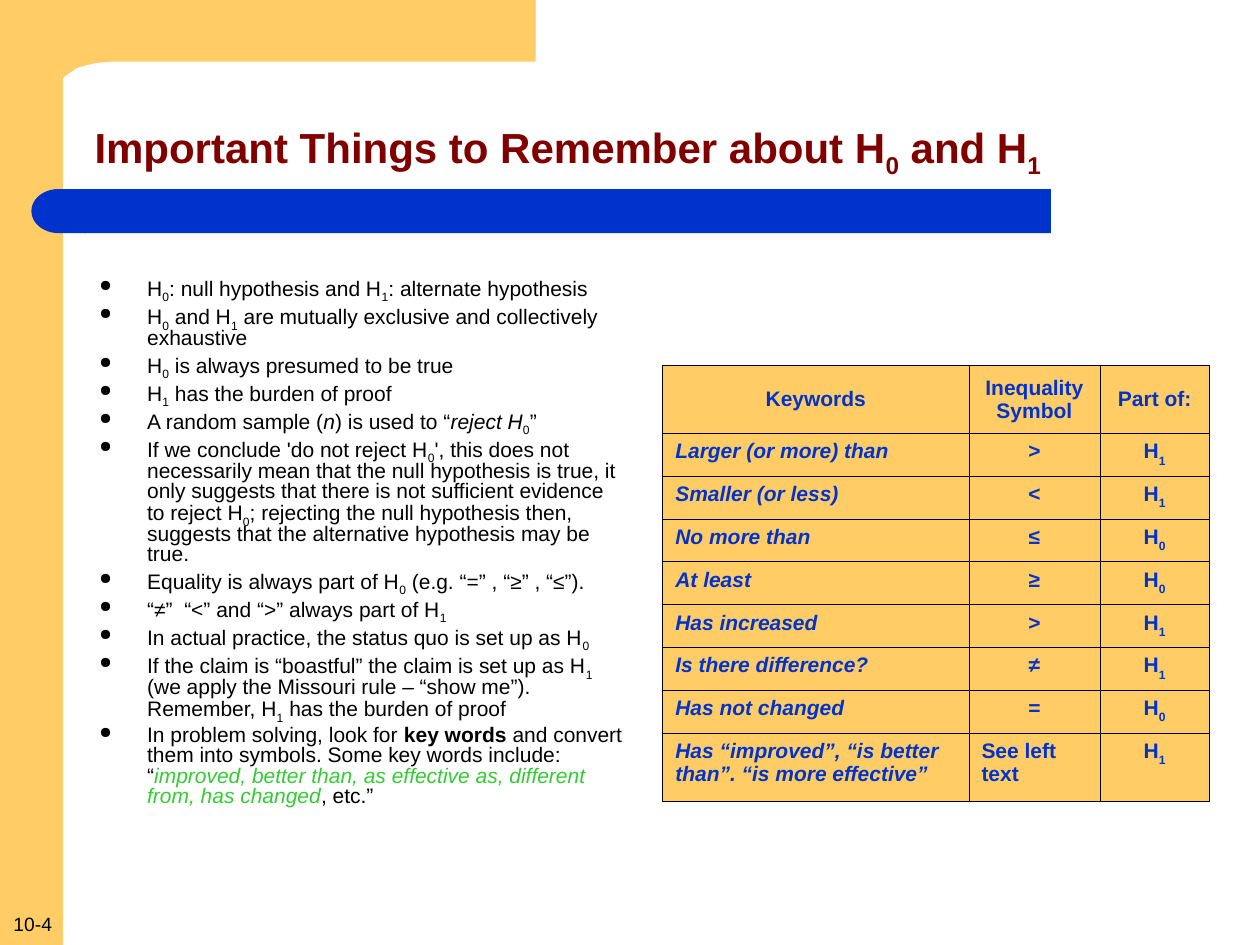
import pptx
import pptx.util
import pptx.dml.color
import pptx.enum.shapes
import pptx.enum.text
import pptx.oxml
import pptx.oxml.ns

Inches, Pt = pptx.util.Inches, pptx.util.Pt
RGBColor = pptx.dml.color.RGBColor
SHAPE = pptx.enum.shapes.MSO_SHAPE
ALIGN = pptx.enum.text.PP_ALIGN
ANCHOR = pptx.enum.text.MSO_ANCHOR
SIZE = pptx.enum.text.MSO_AUTO_SIZE

GOLD = RGBColor(0xFF, 0xCC, 0x66)
BLUE = RGBColor(0x00, 0x33, 0xCC)
MAROON = RGBColor(0x80, 0x00, 0x00)
GREEN = RGBColor(0x33, 0xCC, 0x33)
BLACK = RGBColor(0x00, 0x00, 0x00)

# Each mark switches its format on and off again within a text.
MARKS = {
    "~": {"sub": True},
    "*": {"italic": True},
    "^": {"bold": True},
    "`": {"rgb": GREEN, "italic": True},
}
TITLE = "Important Things to Remember about H~0~ and H~1~"
POINTS = [
    "H~0~: null hypothesis and H~1~: alternate hypothesis",
    "H~0~ and H~1~ are mutually exclusive and collectively exhaustive",
    "H~0~ is always presumed to be true",
    "H~1~ has the burden of proof",
    "A random sample (*n*) is used to “*reject H*~0~”",
    "If we conclude 'do not reject H~0~', this does not necessarily mean that "
    "the null hypothesis is true, it only suggests that there is not sufficient "
    "evidence to reject H~0~; rejecting the null hypothesis then, suggests that "
    "the alternative hypothesis may be true.",
    "Equality is always part of H~0~ (e.g. “=” , “≥” , “≤”).",
    "“≠”  “<” and “>” always part of H~1~",
    "In actual practice, the status quo is set up as H~0~",
    "If the claim is “boastful” the claim is set up as H~1~ (we apply the "
    "Missouri rule – “show me”). Remember, H~1~ has the burden of proof",
    "In problem solving, look for ^key words^ and convert them into symbols. "
    "Some key words include: “`improved, better than, as effective as, "
    "different from, has changed`, etc.”",
]
HEADS = ("Keywords", "Inequality\nSymbol", "Part of:")
RULES = [
    ("Larger (or more) than", ">", 1),
    ("Smaller (or less)", "<", 1),
    ("No more than", "≤", 0),
    ("At least", "≥", 0),
    ("Has increased", ">", 1),
    ("Is there difference?", "≠", 1),
    ("Has not changed", "=", 0),
    ("Has “improved”, “is better than”. “is more effective”", "See left text", 1),
]
COLS = (2.43, 1.04, 0.87)
TALL, LOW = 0.54, 0.34
CURVE = [
    (4.25, 0), (4.25, 0.49), (0.93, 0.49), (0.87, 0.49), (0.76, 0.5),
    (0.68, 0.52), (0.61, 0.54), (0.55, 0.58), (0.51, 0.61), (0.48, 0.65),
    (0.47, 0.68), (0.47, 0.75), (0, 0.75), (0, 0),
]


def place(*box):
    return [Inches(n) for n in box]


def set_all(thing, **vals):
    for name, val in vals.items():
        setattr(thing, name, val)


def add_run(para, text, look, drop):
    run = para.add_run()
    run.text = text
    for name, val in look.items():
        if name == "rgb":
            run.font.color.rgb = val
        elif name == "sub":
            run._r.get_or_add_rPr().set("baseline", str(-1000 * drop))
        else:
            setattr(run.font, name, val)


def write(para, text, size, rgb, drop=25, **more):
    """Fill a paragraph with runs, reading the marks; drop is the subscript percent."""
    base = {"name": "Arial", "size": Pt(size), "rgb": rgb, **more}
    look, part, live = dict(base), "", ""
    for char in text:
        if char not in MARKS:
            part += char
            continue
        if part:
            add_run(para, part, look, drop)
        part, live = "", "" if live == char else char
        look = {**base, **MARKS.get(live, {})}
    if part:
        add_run(para, part, look, drop)


def paint(shape, color):
    shape.shadow.inherit = False
    shape.fill.solid()
    shape.fill.fore_color.rgb = color
    shape.line.fill.background()


def add_block(slide, kind, box, color):
    shape = slide.shapes.add_shape(kind, *place(*box))
    paint(shape, color)
    return shape


def add_frame(slide):
    add_block(slide, SHAPE.RECTANGLE, (0, 0, 0.5, 7.5), GOLD)
    pen = slide.shapes.build_freeform(*place(*CURVE[0]), scale=1.0)
    pen.add_line_segments([place(*spot) for spot in CURVE[1:]], close=True)
    paint(pen.convert_to_shape(), GOLD)
    bar = add_block(slide, SHAPE.ROUNDED_RECTANGLE, (0.67, 1.5, 7.67, 0.35), BLUE)
    bar.adjustments[0] = 0
    cap = add_block(slide, SHAPE.FLOWCHART_DELAY, (0.25, 1.5, 0.43, 0.35), BLUE)
    cap._element.spPr.xfrm.set("flipH", "1")


def add_number(slide):
    frame = slide.shapes.add_textbox(*place(-0.3, 7.19, 1.12, 0.29)).text_frame
    set_all(frame, word_wrap=False, auto_size=SIZE.SHAPE_TO_FIT_TEXT)
    para = frame.paragraphs[0]
    para.alignment = ALIGN.CENTER
    write(para, "10-4", 11, BLACK)


def set_title(slide):
    title = slide.shapes.title
    slide.shapes._spTree.append(title._element)
    left, top, width, height = place(0.65, 0.56, 8.54, 0.87)
    set_all(title, left=left, top=top, width=width, height=height)
    frame = title.text_frame
    set_all(frame, word_wrap=True, auto_size=SIZE.NONE, vertical_anchor=ANCHOR.BOTTOM)
    para = frame.paragraphs[0]
    set_all(para, alignment=ALIGN.LEFT, line_spacing=0.9)
    write(para, TITLE, 24, MAROON, bold=True)


def add_dot(para):
    props = para._p.get_or_add_pPr()
    props.set("marL", str(Inches(0.38)))
    props.set("indent", str(Inches(-0.38)))
    space = pptx.oxml.ns.nsdecls("a")
    for xml in (
        f'<a:buClr {space}><a:srgbClr val="{BLACK}"/></a:buClr>',
        f'<a:buSzPct {space} val="75000"/>',
        f'<a:buChar {space} char="●"/>',
    ):
        props.append(pptx.oxml.parse_xml(xml))


def add_points(slide):
    frame = slide.shapes.add_textbox(*place(0.69, 2.16, 4.36, 4.37)).text_frame
    frame.word_wrap = True
    for num, text in enumerate(POINTS):
        para = frame.add_paragraph() if num else frame.paragraphs[0]
        set_all(para, line_spacing=0.8, space_before=Pt(3))
        add_dot(para)
        write(para, text, 12, BLACK)


def add_edges(cell):
    props = cell._tc.get_or_add_tcPr()
    for side in "LRTB":
        props.append(pptx.oxml.parse_xml(
            f'<a:ln{side} {pptx.oxml.ns.nsdecls("a")} w="{Pt(0.45)}"><a:solidFill>'
            f'<a:srgbClr val="{BLACK}"/></a:solidFill></a:ln{side}>'))


def fill_cell(cell, text, align, anchor, italic):
    add_edges(cell)
    cell.fill.solid()
    cell.fill.fore_color.rgb = GOLD
    cell.vertical_anchor = anchor
    for num, line in enumerate(text.split("\n")):
        frame = cell.text_frame
        para = frame.add_paragraph() if num else frame.paragraphs[0]
        para.alignment = align
        write(para, line, 12, BLUE, drop=30, bold=True, italic=italic)


def add_rules(slide):
    rows = [HEADS] + [(key, sign, f"H~{num}~") for key, sign, num in RULES]
    highs = [TALL] + [LOW] * (len(RULES) - 1) + [TALL]
    box = place(5.26, 2.9, sum(COLS), sum(highs))
    table = slide.shapes.add_table(len(rows), len(COLS), *box).table
    set_all(table, first_row=False, horz_banding=False)
    for col, width in zip(table.columns, COLS):
        col.width = Inches(width)
    for row, high in zip(table.rows, highs):
        row.height = Inches(high)
    for y, texts in enumerate(rows):
        for x, text in enumerate(texts):
            key = y > 0 and x == 0
            align = ALIGN.LEFT if key or text == "See left text" else ALIGN.CENTER
            anchor = ANCHOR.TOP if y else ANCHOR.MIDDLE
            fill_cell(table.cell(y, x), text, align, anchor, key)


def main():
    deck = pptx.Presentation()
    set_all(deck, slide_width=Inches(10), slide_height=Inches(7.5))
    slide = deck.slides.add_slide(deck.slide_layouts[5])
    add_frame(slide)
    add_number(slide)
    set_title(slide)
    add_points(slide)
    add_rules(slide)
    deck.save("out.pptx")


if __name__ == "__main__":
    main()
